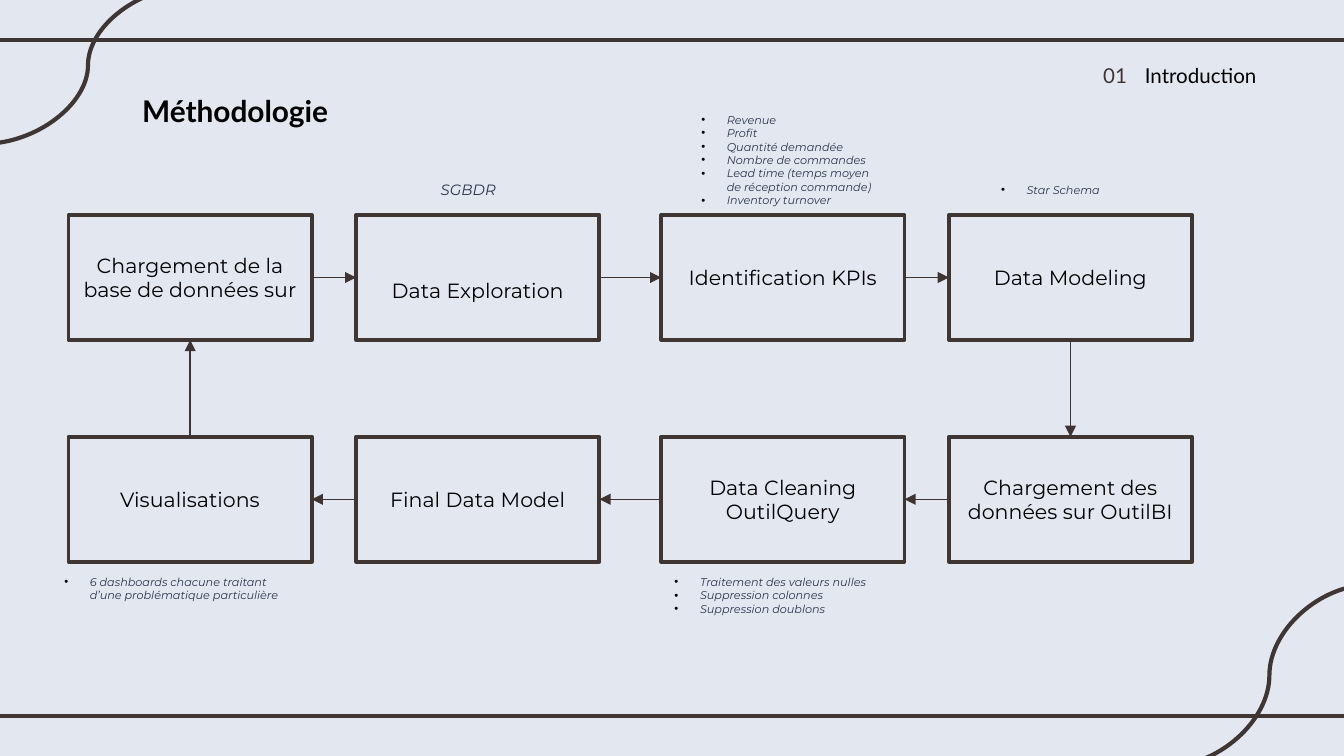
from pptx import Presentation
from pptx import util as u
from pptx.dml import color
from pptx.enum import shapes, text
from pptx.oxml import xmlchemy as x

COLS, ROWS = 100, 56.25
BOX_COLS, BOX_ROWS = (5.1, 26.5, 49.2, 70.6), (16, 32.5)
BOX_W, BOX_H = 18.1, 9.3
BG, BROWN, ARROW, NAVY, BLACK = "E3E7F0", "3F3533", "3E3432", "29344C", "000000"
TOP, LEFT, BOTTOM, RIGHT = range(4)
STEPS = ["Chargement de la base de données sur", "Data Exploration",
         "Identification KPIs", "Data Modeling",
         "Chargement des données sur OutilBI", "Data Cleaning OutilQuery",
         "Final Data Model", "Visualisations"]
KPIS = ["Revenue", "Profit", "Quantité demandée", "Nombre de commandes",
        "Lead time (temps moyen de réception commande)", "Inventory turnover"]
CLEANING = ["Traitement des valeurs nulles", "Suppression colonnes",
            "Suppression doublons"]
DASHBOARDS = ["6 dashboards chacune traitant d’une problématique particulière"]


def rgb(value):
    """Turn a hex string into a colour."""
    return color.RGBColor.from_string(value)


def grid(*cells):
    """Turn grid cells, a tenth of an inch each, into lengths."""
    return [u.Inches(c / 10) for c in cells]


def add_child(parent, tag, **attrs):
    """Append an XML element with attributes and return it."""
    el = x.OxmlElement(tag)
    for name, value in attrs.items():
        el.set(name, value)
    parent.append(el)
    return el


def write(tf, lines, size=11, font="Lato", fill=BLACK, bold=False, italic=False,
          align=text.PP_ALIGN.LEFT, bullet=False):
    """Write one paragraph per line in the given format."""
    tf.word_wrap = True
    for i, line in enumerate(lines):
        p = tf.paragraphs[0] if i == 0 else tf.add_paragraph()
        p.alignment = align
        r = p.add_run()
        r.text = line
        r.font.size, r.font.name = u.Pt(size), font
        r.font.bold, r.font.italic = bold, italic
        r.font.color.rgb = rgb(fill)
        if bullet:
            pPr = p._p.get_or_add_pPr()
            indent = u.Inches(0.19)
            pPr.set("marL", str(indent))
            pPr.set("indent", str(-indent))
            add_child(add_child(pPr, "a:buClr"), "a:srgbClr", val=BLACK)
            add_child(pPr, "a:buFont", typeface="Arial")
            add_child(pPr, "a:buChar", char="•")


def add_text(s, place, lines, **fmt):
    """Add a text box with even margins."""
    tf = s.shapes.add_textbox(*grid(*place)).text_frame
    tf.margin_left = tf.margin_right = tf.margin_top = tf.margin_bottom = u.Inches(0.1)
    write(tf, lines, **fmt)


def add_note(s, place, lines, size=6, bullet=True):
    """Add a small italic note beside a step."""
    add_text(s, place, lines, size=size, font="Montserrat", fill=NAVY,
             italic=True, bullet=bullet)


def add_line(s, ends=(0, 0, 0, 0), kind=shapes.MSO_CONNECTOR.STRAIGHT,
             stroke=BROWN, width=2.25):
    """Add a connector without shadow."""
    sp = s.shapes.add_connector(kind, *grid(*ends))
    sp.line.color.rgb = rgb(stroke)
    sp.line.width = u.Pt(width)
    add_child(sp._element.spPr, "a:effectLst")
    return sp


def add_arrow(s, start, start_side, end, end_side):
    """Join two steps with an arrow."""
    sp = add_line(s, stroke=ARROW, width=0.75)
    sp.begin_connect(start, start_side)
    sp.end_connect(end, end_side)
    add_child(sp.line._get_or_add_ln(), "a:tailEnd", type="triangle")


def add_step(s, col, row, label):
    """Add one outlined step of the cycle."""
    sp = s.shapes.add_shape(shapes.MSO_SHAPE.RECTANGLE,
                            *grid(BOX_COLS[col], BOX_ROWS[row], BOX_W, BOX_H))
    sp.shadow.inherit = False
    sp.fill.solid()
    sp.fill.fore_color.rgb = rgb(BG)
    sp.line.color.rgb = rgb(BROWN)
    sp.line.width = u.Pt(2)
    sp.text_frame.vertical_anchor = text.MSO_ANCHOR.MIDDLE
    write(sp.text_frame, [label], font="Montserrat", align=text.PP_ALIGN.CENTER)
    return sp


def add_frame(s):
    """Add the rules and corner curves."""
    for y in (3, 53.3):
        add_line(s, (-0.8, y, COLS + 0.8, y))
    for ends in ((102, 43.5, 86.9, 57), (14.3, -1, -1.2, 10.7)):
        add_line(s, ends, shapes.MSO_CONNECTOR.CURVE)


def add_cycle(s):
    """Add the steps clockwise and the arrows between them."""
    n = len(BOX_COLS)
    places = [(c, 0) for c in range(n)] + [(c, 1) for c in reversed(range(n))]
    steps = [add_step(s, *place, label) for place, label in zip(places, STEPS)]
    steps[1].text_frame.margin_top = u.Inches(0.24)
    sides = ([(RIGHT, LEFT)] * (n - 1) + [(BOTTOM, TOP)]
             + [(LEFT, RIGHT)] * (n - 1) + [(TOP, BOTTOM)])
    for a, b, (out, into) in zip(steps, steps[1:] + steps[:1], sides):
        add_arrow(s, a, out, b, into)


def main():
    """Build the slide and save it."""
    prs = Presentation()
    prs.slide_width, prs.slide_height = grid(COLS, ROWS)
    s = prs.slides.add_slide(prs.slide_layouts[6])
    s.background.fill.solid()
    s.background.fill.fore_color.rgb = rgb(BG)
    add_frame(s)
    add_text(s, (84.2, 3.8, 12, 4.3), ["Introduction"])
    add_text(s, (81.1, 3.8, 18.1, 10.7), ["01"], fill=BROWN)
    add_text(s, (9.6, 5.9, 23.9, 4.3), ["Méthodologie"], size=16, bold=True)
    add_cycle(s)
    add_note(s, (51.2, 7.4, 15.4, 2.8), KPIS)
    add_note(s, (31.8, 12.8, 12.8, 2.7), ["SGBDR"], size=8, bullet=False)
    add_note(s, (73.5, 13.1, 15.4, 2.8), ["Star Schema"])
    below = BOX_ROWS[1] + BOX_H
    add_note(s, (BOX_COLS[2], below, BOX_W, 5.2), CLEANING)
    add_note(s, (3.8, below, BOX_W, 5.2), DASHBOARDS)
    prs.save("out.pptx")


if __name__ == "__main__":
    main()
